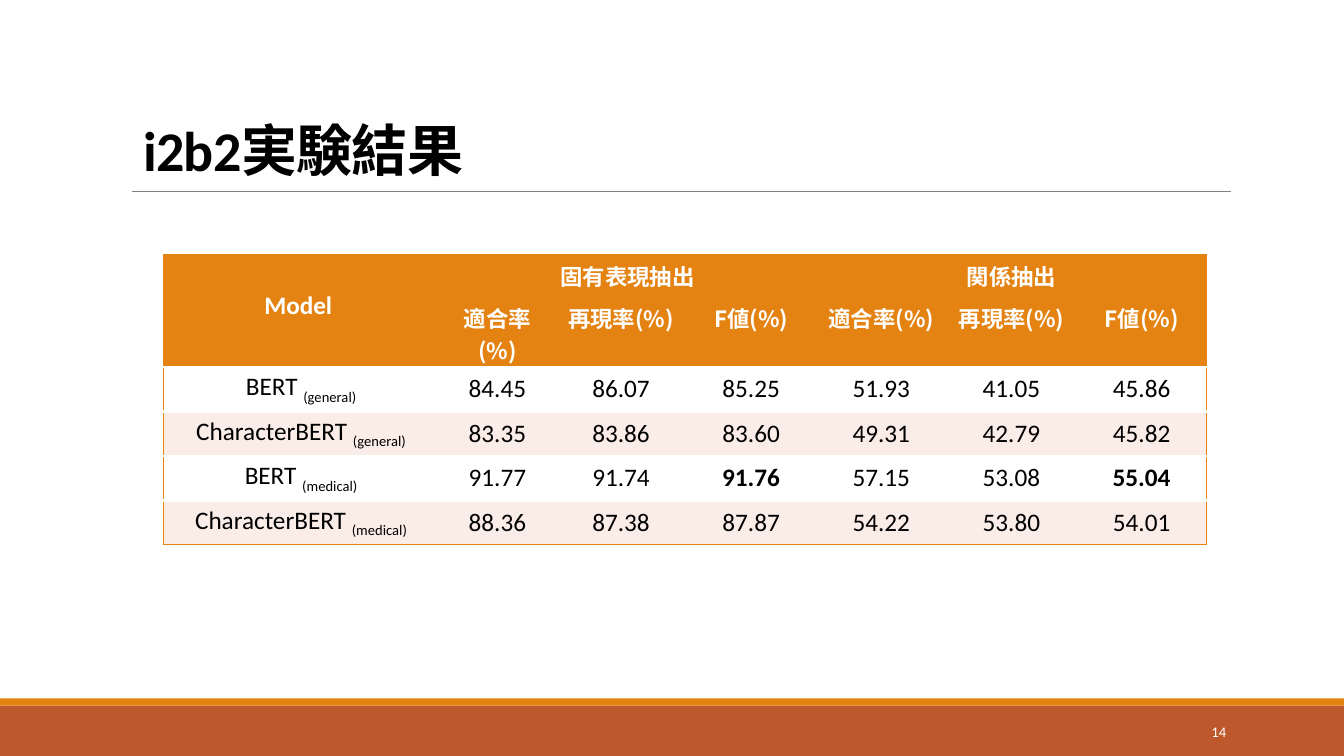
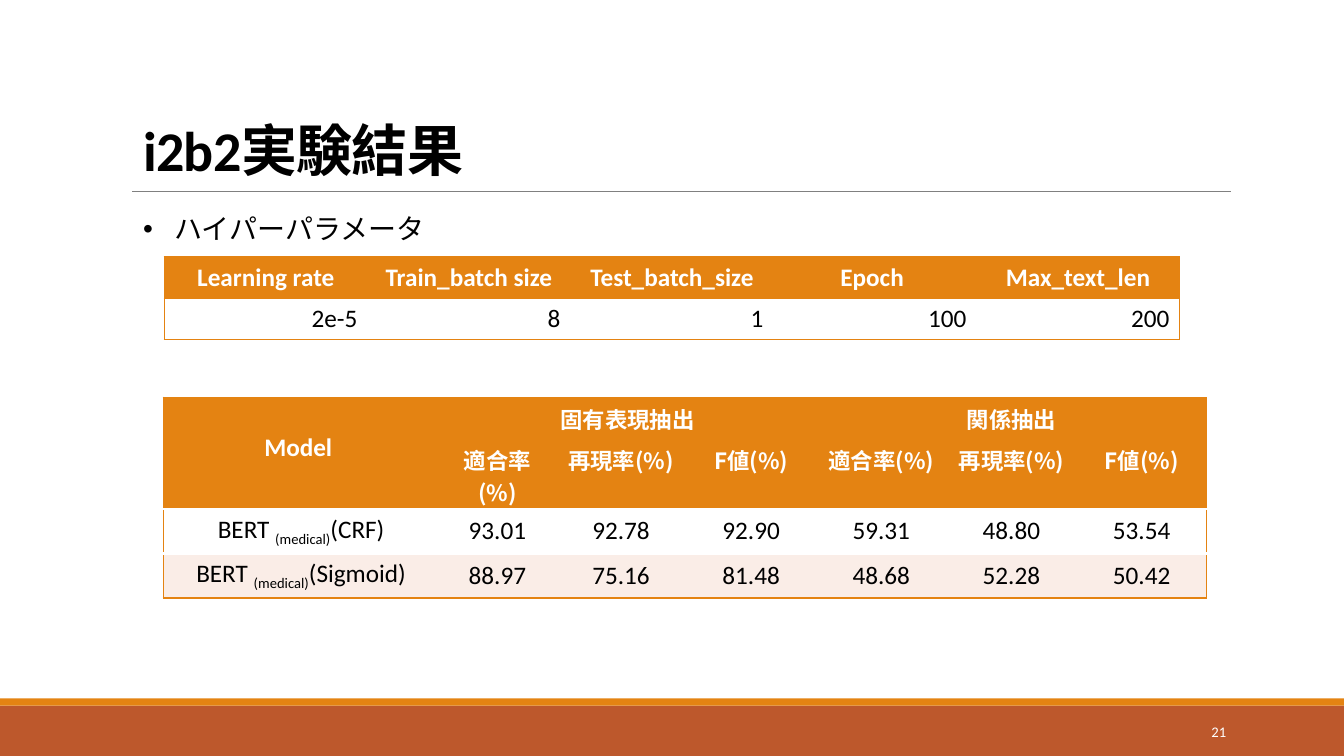
from collections import namedtuple

from lxml.etree import SubElement
from pptx import Presentation
from pptx.dml.color import RGBColor
from pptx.enum.shapes import MSO_CONNECTOR, MSO_SHAPE
from pptx.enum.text import MSO_ANCHOR, MSO_AUTO_SIZE, PP_ALIGN
from pptx.oxml.ns import qn
from pptx.util import Inches, Pt

ORANGE = RGBColor(0xE4, 0x83, 0x12)
RUST = RGBColor(0xBD, 0x58, 0x2C)
PALE = RGBColor(0xFA, 0xED, 0xE7)
GRAY = RGBColor(0x80, 0x80, 0x80)
WHITE = RGBColor(0xFF, 0xFF, 0xFF)
BLACK = RGBColor(0, 0, 0)
LATIN, CJK = "Calibri", "Noto Sans CJK JP"

Box = namedtuple("Box", "left top width height")
Edge = namedtuple("Edge", "color width")
FRAME = Edge(ORANGE, 1)
GAP = Edge(WHITE, 2.25)

SLIDE_W, SLIDE_H = 13.33, 7.5
ROW = 0.41
TITLE_BOX = Box(1.32, 0.82, 10.93, 1.04)
BULLET_BOX = Box(1.32, 2.05, 9.69, 0.44)
NUMBER_BOX = Box(10.83, 7.06, 1.43, 0.4)
BANDS = [(Box(0, 7, SLIDE_W, 0.5), RUST), (Box(0, 6.93, SLIDE_W, 0.07), ORANGE)]
RULE = Box(1.31, 1.9, 10.9, 0)

TASKS = ["固有表現抽出", "関係抽出"]
METRICS = ["適合率(%)", "再現率(%)", "F値(%)"]
RESULT_COLUMNS = [2.73, 1.16] + [1.29] * 5
HYPERPARAMETERS = {"Learning rate": "2e-5", "Train_batch size": "8",
                   "Test_batch_size": "1", "Epoch ": "100", "Max_text_len": "200"}

Result = namedtuple("Result", "model domain suffix scores")
PRETRAINING = [
    Result("BERT ", "(general)", "", "84.45 86.07 85.25 51.93 41.05 45.86"),
    Result("CharacterBERT ", "(general)", "", "83.35 83.86 83.60 49.31 42.79 45.82"),
    Result("BERT ", "(medical)", "", "91.77 91.74 91.76 57.15 53.08 55.04"),
    Result("CharacterBERT ", "(medical)", "", "88.36 87.38 87.87 54.22 53.80 54.01"),
]
OUTPUT_LAYERS = [
    Result("BERT ", "(medical)", "(CRF)", "93.01 92.78 92.90 59.31 48.80 53.54"),
    Result("BERT ", "(medical)", "(Sigmoid)", "88.97 75.16 81.48 48.68 52.28 50.42"),
]


def inches(box):
    return [Inches(length) for length in box]


def place(part, box):
    part.left, part.top, part.width, part.height = inches(box)


def add_run(paragraph, text, size=18, color=BLACK, bold=False, latin=LATIN, **attributes):
    """Add a run; attributes such as spc or baseline go straight onto its properties."""
    run = paragraph.add_run()
    run.text = text
    font = run.font
    font.size, font.bold, font.name = Pt(size), bold, latin
    font.color.rgb = color
    properties = font._element if hasattr(font, "_element") else run._r.get_or_add_rPr()
    SubElement(properties, qn("a:ea"), typeface=CJK)
    for name, value in attributes.items():
        properties.set(name, str(value))


def build_master(prs, slide):
    """Draw the bands and the title rule on a slide, then move them to the master."""
    master = prs.slide_master
    place(master.placeholders[0], TITLE_BOX)
    decorations = []
    for box, color in BANDS:
        band = slide.shapes.add_shape(MSO_SHAPE.RECTANGLE, *inches(box))
        band.shadow.inherit = False
        band.fill.solid()
        band.fill.fore_color.rgb = color
        band.line.fill.background()
        decorations.append(band.element)
    left, top, width, _ = RULE
    rule = slide.shapes.add_connector(
        MSO_CONNECTOR.STRAIGHT, *inches((left, top, left + width, top)))
    rule.line.color.rgb = GRAY
    rule.line.width = Pt(0.5)
    SubElement(rule.element.spPr, qn("a:effectLst"))
    decorations.append(rule.element)
    for index, element in enumerate(decorations):
        element.xpath(".//p:cNvPr")[0].set("id", str(100 + index))
        master.shapes.element.insert(2 + index, element)


def fill_title(slide):
    frame = slide.shapes.title.text_frame
    frame.auto_size = MSO_AUTO_SIZE.NONE
    frame.vertical_anchor = MSO_ANCHOR.BOTTOM
    paragraph = frame.paragraphs[0]
    paragraph.alignment = PP_ALIGN.LEFT
    paragraph.line_spacing = 0.85
    for text, latin in (("i2b2", LATIN), ("実験結果", CJK)):
        add_run(paragraph, text, 40, bold=True, latin=latin, spc=-50)


def add_page_number(slide, box, number):
    frame = slide.shapes.add_textbox(*inches(box)).text_frame
    frame.word_wrap = True
    frame.vertical_anchor = MSO_ANCHOR.MIDDLE
    paragraph = frame.paragraphs[0]
    paragraph.alignment = PP_ALIGN.RIGHT
    add_run(paragraph, str(number), 10.5, WHITE)


def fill_bullet(slide, box, text):
    body = slide.placeholders[1]
    place(body, box)
    body.text_frame.auto_size = MSO_AUTO_SIZE.NONE
    paragraph = body.text_frame.paragraphs[0]
    paragraph.space_before = Pt(0)
    add_run(paragraph, text, 20)
    properties = paragraph._p.get_or_add_pPr()
    properties.set("marL", str(Inches(0.31)))
    properties.set("indent", str(Inches(-0.31)))
    SubElement(properties, qn("a:buFont"), typeface="Arial")
    SubElement(properties, qn("a:buChar"), char="•")


def set_edges(cell, *edges):
    """Set the left, right, top and bottom edge; None leaves an edge undrawn."""
    properties = cell._tc.get_or_add_tcPr()
    for side, edge in zip("LRTB", edges):
        line = SubElement(properties, qn(f"a:ln{side}"))
        if edge is None:
            SubElement(line, qn("a:noFill"))
            continue
        line.set("w", str(Pt(edge.width)))
        solid = SubElement(line, qn("a:solidFill"))
        SubElement(solid, qn("a:srgbClr"), val=str(edge.color))


def add_grid(slide, box, weights, fills, dividers):
    """Add an empty table; fills has one colour a row, dividers the edges between rows."""
    rows, columns = len(fills), len(weights)
    table = slide.shapes.add_table(rows, columns, *inches(box)).table
    table.first_row = table.horz_banding = False
    for column, weight in zip(table.columns, weights):
        column.width = Inches(box.width * weight / sum(weights))
    edges = [FRAME, *dividers, FRAME]
    for r, color in enumerate(fills):
        for c in range(columns):
            cell = table.cell(r, c)
            set_edges(cell, FRAME if c == 0 else None,
                      FRAME if c == columns - 1 else None, edges[r], edges[r + 1])
            cell.fill.solid()
            cell.fill.fore_color.rgb = color
    return table


def write(cell, text, align=PP_ALIGN.CENTER, anchor=MSO_ANCHOR.TOP, **style):
    cell.vertical_anchor = anchor
    paragraph = cell.text_frame.paragraphs[0]
    paragraph.alignment = align
    add_run(paragraph, text, **style)
    return paragraph


def add_results(slide, left, top, results, best=()):
    """Add the score table with its two header rows; scores in best are bold."""
    box = Box(left, top, 10.35, ROW * (len(results) + 2))
    fills = [ORANGE] * 2 + [(WHITE, PALE)[i % 2] for i in range(len(results))]
    table = add_grid(slide, box, RESULT_COLUMNS, fills, [FRAME] + [GAP] * len(results))
    heading = {"color": WHITE, "bold": True}

    model = table.cell(0, 0)
    model.merge(table.cell(1, 0))
    model.margin_top = Inches(0.35)
    write(model, "Model ", **heading)
    for t, task in enumerate(TASKS):
        first = 1 + t * len(METRICS)
        span = table.cell(0, first)
        span.merge(table.cell(0, first + len(METRICS) - 1))
        write(span, task, anchor=MSO_ANCHOR.MIDDLE, size=16, **heading)
        for m, metric in enumerate(METRICS):
            write(table.cell(1, first + m), metric, size=16, latin=CJK, **heading)

    for r, result in enumerate(results, start=2):
        name = write(table.cell(r, 0), result.model)
        add_run(name, result.domain, baseline=-25000)
        if result.suffix:
            add_run(name, result.suffix)
        for c, score in enumerate(result.scores.split(), start=1):
            write(table.cell(r, c), score, anchor=MSO_ANCHOR.MIDDLE, bold=score in best)


def add_hyperparameters(slide, left, top):
    box = Box(left, top, 10.07, ROW * 2)
    table = add_grid(slide, box, [1] * len(HYPERPARAMETERS), [ORANGE, WHITE], [FRAME])
    for c, (name, value) in enumerate(HYPERPARAMETERS.items()):
        write(table.cell(0, c), name, color=WHITE, bold=True)
        write(table.cell(1, c), value, align=PP_ALIGN.RIGHT)


def main():
    prs = Presentation()
    prs.slide_width, prs.slide_height = Inches(SLIDE_W), Inches(SLIDE_H)
    title_and_content, title_only = prs.slide_layouts[1], prs.slide_layouts[5]

    pretraining = prs.slides.add_slide(title_only)
    build_master(prs, pretraining)
    output_layers = prs.slides.add_slide(title_and_content)
    for slide, number in ((pretraining, 14), (output_layers, 21)):
        fill_title(slide)
        add_page_number(slide, NUMBER_BOX, number)

    add_results(pretraining, 1.62, 2.53, PRETRAINING, best=("91.76", "55.04"))

    fill_bullet(output_layers, BULLET_BOX, "ハイパーパラメータ")
    add_hyperparameters(output_layers, 1.63, 2.55)
    add_results(output_layers, 1.62, 3.94, OUTPUT_LAYERS)
    prs.save("out.pptx")


if __name__ == "__main__":
    main()
